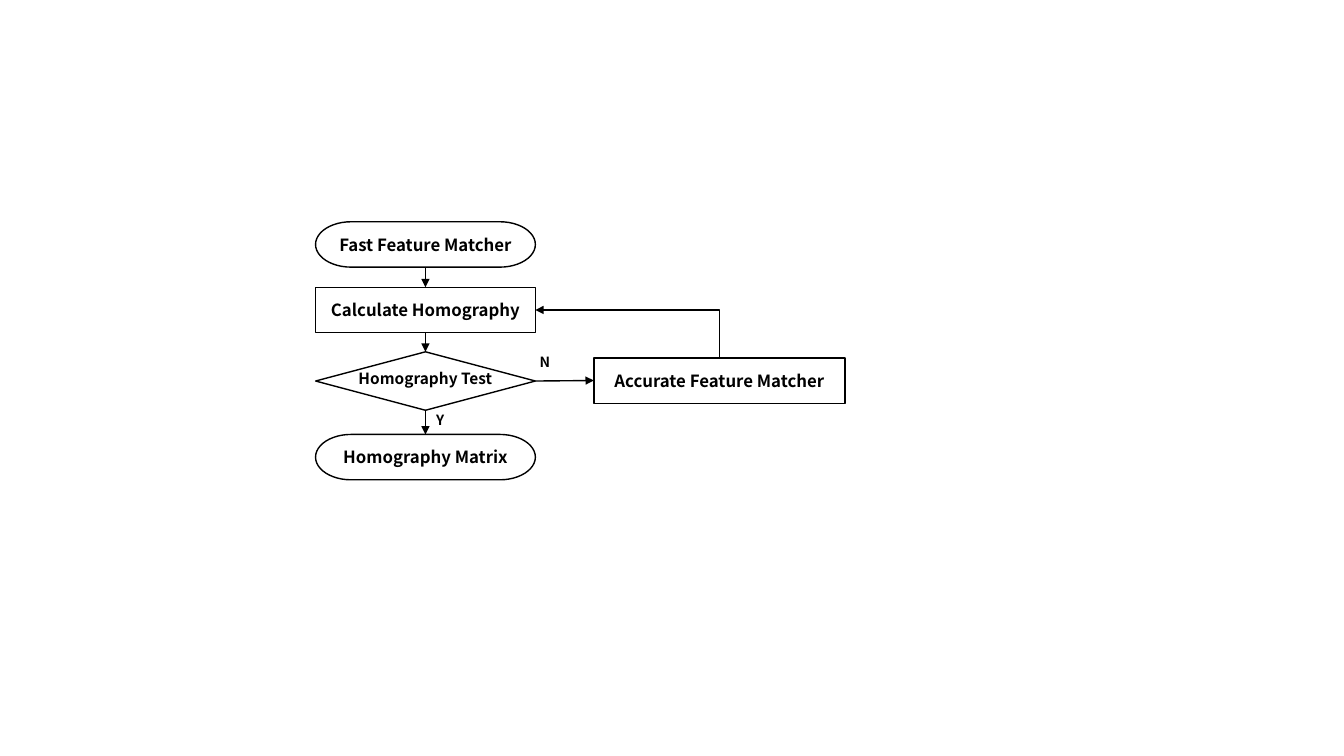
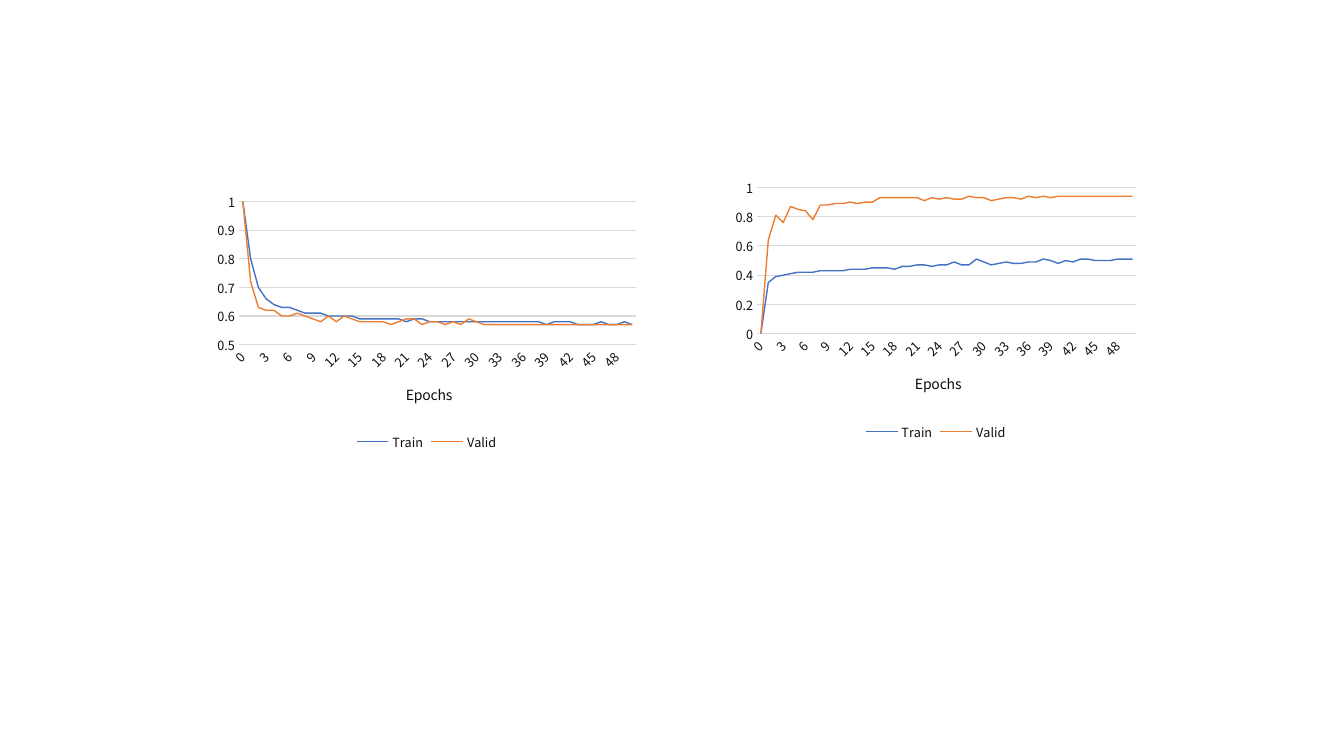
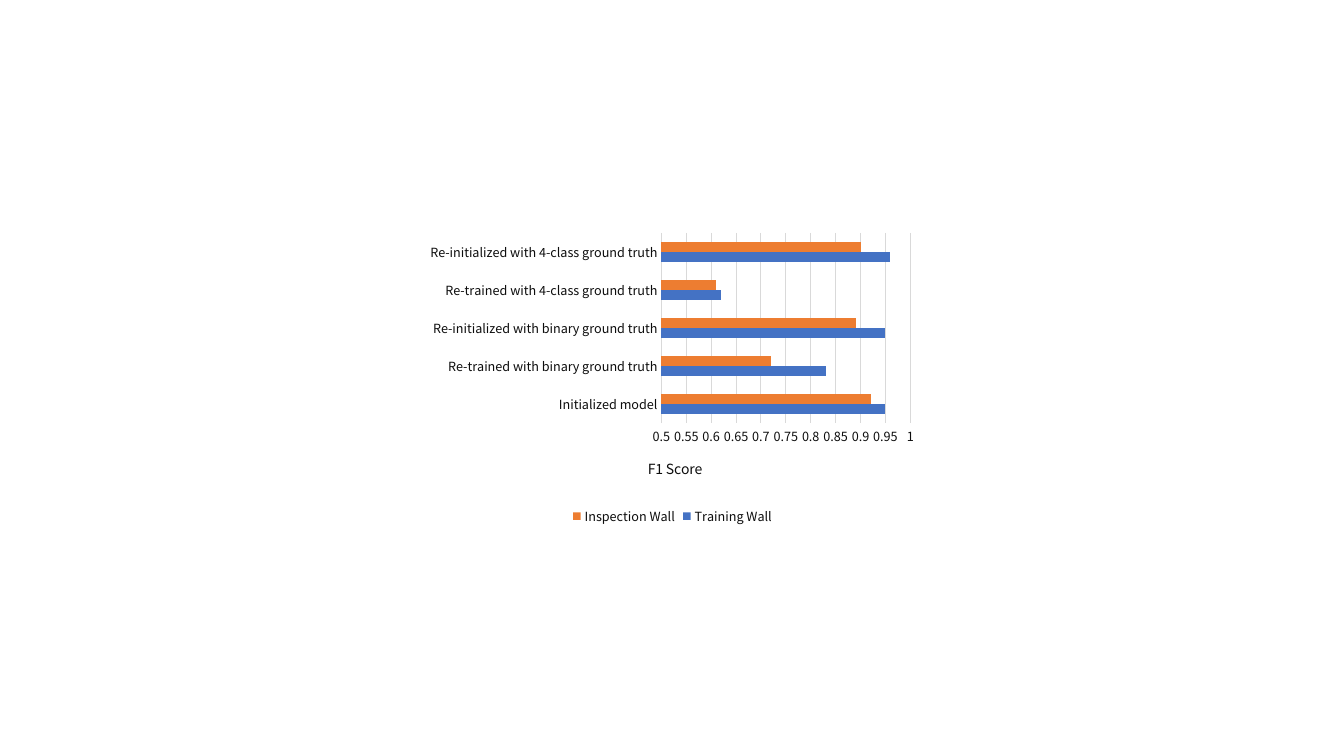
from lxml.etree import SubElement
from pptx import Presentation
from pptx.chart.data import CategoryChartData
from pptx.dml.color import RGBColor
from pptx.enum.chart import XL_CHART_TYPE, XL_LEGEND_POSITION, XL_TICK_MARK
from pptx.enum.shapes import MSO_CONNECTOR, MSO_SHAPE
from pptx.enum.text import MSO_ANCHOR, PP_ALIGN
from pptx.oxml.ns import qn
from pptx.util import Inches, Pt

FONT = "Noto Sans CJK KR"
BLACK, INK, GRID = "000000", "0D0D0D", "D9D9D9"
BLUE, ORANGE = "4472C4", "ED7D31"
TOP, LEFT, BOTTOM, RIGHT = range(4)


def rgb(value):
    """Turn a hex string into a colour."""
    return RGBColor.from_string(value)


class Deck:
    """Style and current slide of the presentation."""

    def __init__(self):
        """Start an empty widescreen presentation."""
        self.prs = Presentation()
        self.prs.slide_width, self.prs.slide_height = Inches(13.33), Inches(7.5)

    def slide(self):
        """Add a blank slide and make it current."""
        self.s = self.prs.slides.add_slide(self.prs.slide_layouts[6])

    def font(self, font, size, color=INK, bold=False):
        """Apply the shared typeface."""
        font.name, font.size, font.bold = FONT, Pt(size), bold
        font.color.rgb = rgb(color)

    def line(self, line, color, width):
        """Set a solid line."""
        line.color.rgb = rgb(color)
        line.width = Pt(width)

    def node(self, kind, text, x, y, w, h, size=12, outlined=True, lift=0):
        """Add an unfilled flowchart shape with centred bold text."""
        sp = self.s.shapes.add_shape(kind, Inches(x), Inches(y), Inches(w), Inches(h))
        sp.shadow.inherit = False
        sp.fill.background()
        if outlined:
            self.line(sp.line, BLACK, 1)
        else:
            sp.line.fill.background()
        tf = sp.text_frame
        tf.word_wrap = False
        tf.vertical_anchor = MSO_ANCHOR.MIDDLE
        tf.margin_top, tf.margin_bottom = 0, Inches(lift)
        p = tf.paragraphs[0]
        p.alignment = PP_ALIGN.CENTER
        r = p.add_run()
        r.text = text
        self.font(r.font, size, BLACK, True)
        return sp

    def arrow_style(self, cn):
        """Give a connector its line and arrowhead."""
        self.line(cn.line, BLACK, 1)
        SubElement(cn.line._get_or_add_ln(), qn("a:tailEnd"), type="triangle")
        SubElement(cn._element.spPr, qn("a:effectLst"))

    def arrow(self, start, end, start_site=BOTTOM, end_site=TOP):
        """Join two shapes with a straight arrow."""
        cn = self.s.shapes.add_connector(MSO_CONNECTOR.STRAIGHT, 0, 0, 0, 0)
        cn.begin_connect(start, start_site)
        cn.end_connect(end, end_site)
        self.arrow_style(cn)

    def elbow(self, start, end):
        """Draw an arrow up from one shape and left into another."""
        x1, y1 = start.left + start.width // 2, start.top
        x2, y2 = end.left + end.width, end.top + end.height // 2
        cx, cy = (x1 + x2) // 2, (y1 + y2) // 2
        rise, run = (y1 - y2) // 2, (x1 - x2) // 2
        cn = self.s.shapes.add_connector(
            MSO_CONNECTOR.ELBOW, cx - rise, cy + run, cx + rise, cy - run)
        spPr = cn._element.spPr
        spPr.find(qn("a:xfrm")).set("rot", "16200000")
        spPr.find(qn("a:prstGeom")).set("prst", "bentConnector2")
        self.arrow_style(cn)

    def layout(self, parent, index, **values):
        """Fix the place of a chart part."""
        old = parent.find(qn("c:layout"))
        if old is not None:
            parent.remove(old)
        layout = SubElement(parent, qn("c:layout"))
        parent.insert(index, layout)
        manual = SubElement(layout, qn("c:manualLayout"))
        for name, value in values.items():
            SubElement(manual, qn("c:" + name), val=str(value))

    def chart(self, kind, box, plot, cats, series, low, step, title, title_at):
        """Add a chart with its plot area and axis title placed in inches."""
        x, y, w, h = box
        data = CategoryChartData()
        data.categories = cats
        for name, vals, _ in series:
            data.add_series(name, vals)
        chart = self.s.shapes.add_chart(kind, *map(Inches, box), data).chart
        self.font(chart.font, 10)
        chart.has_title = False
        chart.has_legend = True
        chart.legend.position = XL_LEGEND_POSITION.BOTTOM
        chart.legend.include_in_layout = False
        self.font(chart.legend.font, 9)
        cat, val = chart.category_axis, chart.value_axis
        for axis in (cat, val):
            axis.major_tick_mark = axis.minor_tick_mark = XL_TICK_MARK.NONE
            self.font(axis.tick_labels.font, 9)
        cat.has_major_gridlines = False
        self.line(cat.format.line, GRID, 0.75)
        val.format.line.fill.background()
        val.minimum_scale, val.maximum_scale, val.major_unit = low, 1, step
        val.tick_labels.number_format = "General"
        val.tick_labels.number_format_is_linked = False
        self.line(val.major_gridlines.format.line, GRID, 0.75)
        bars = kind == XL_CHART_TYPE.BAR_CLUSTERED
        titled = val if bars else cat
        r = titled.axis_title.text_frame.paragraphs[0].add_run()
        r.text = title
        self.font(r.font, 10)
        tx, ty = title_at
        self.layout(titled.axis_title._element, 1, xMode="edge", yMode="edge",
                    x=(tx - x) / w, y=(ty - y) / h)
        px, py, pw, ph = plot
        self.layout(chart._chartSpace.chart.plotArea, 0, layoutTarget="inner",
                    xMode="edge", yMode="edge", x=(px - x) / w, y=(py - y) / h,
                    w=pw / w, h=ph / h)
        area = chart.plots[0]
        area.vary_by_categories = False
        if bars:
            area.gap_width, area.overlap = 182, 0
        else:
            cat._element.txPr.bodyPr.set("rot", "-2700000")
        for item, (_, _, color) in zip(area.series, series):
            if bars:
                item.format.fill.solid()
                item.format.fill.fore_color.rgb = rgb(color)
            else:
                item.smooth = False
                self.line(item.format.line, color, 1)


def flow_slide(d):
    """Build the feature matching flowchart."""
    d.slide()
    x, w, h = 3.13, 2.18, 0.45
    process, terminator = MSO_SHAPE.FLOWCHART_PROCESS, MSO_SHAPE.FLOWCHART_TERMINATOR
    fast = d.node(terminator, "Fast Feature Matcher", x, 2.2, w, h)
    calc = d.node(process, "Calculate Homography", x, 2.85, w, h)
    test = d.node(MSO_SHAPE.FLOWCHART_DECISION, "Homography Test",
                  x, 3.49, w, 0.58, size=11, lift=0.05)
    matrix = d.node(terminator, "Homography Matrix", x, 4.31, w, h)
    accurate = d.node(process, "Accurate Feature Matcher", 5.89, 3.55, 2.49, h)
    for text, left, top in (("N", 5.18, 3.36), ("Y", 4.14, 3.93)):
        d.node(process, text, left, top, 0.45, 0.47, size=10, outlined=False)
    for start, end in ((fast, calc), (calc, test), (test, matrix)):
        d.arrow(start, end)
    d.arrow(test, accurate, RIGHT, LEFT)
    d.elbow(accurate, calc)


def epochs_slide(d):
    """Build the two training curves."""
    d.slide()
    epochs = [str(n) for n in range(51)]
    score_train = [
        0, 0.35, 0.39, 0.4, 0.41, 0.42, 0.42, 0.42, 0.43, 0.43, 0.43, 0.43, 0.44,
        0.44, 0.44, 0.45, 0.45, 0.45, 0.44, 0.46, 0.46, 0.47, 0.47, 0.46, 0.47, 0.47,
        0.49, 0.47, 0.47, 0.51, 0.49, 0.47, 0.48, 0.49, 0.48, 0.48, 0.49, 0.49, 0.51,
        0.5, 0.48, 0.5, 0.49, 0.51, 0.51, 0.5, 0.5, 0.5, 0.51, 0.51, 0.51]
    score_valid = [
        0, 0.64, 0.81, 0.76, 0.87, 0.85, 0.84, 0.78, 0.88, 0.88, 0.89, 0.89, 0.9,
        0.89, 0.9, 0.9, 0.93, 0.93, 0.93, 0.93, 0.93, 0.93, 0.91, 0.93, 0.92, 0.93,
        0.92, 0.92, 0.94, 0.93, 0.93, 0.91, 0.92, 0.93, 0.93, 0.92, 0.94, 0.93, 0.94,
        0.93] + [0.94] * 11
    loss_train = [
        1, 0.8, 0.7, 0.66, 0.64, 0.63, 0.63, 0.62, 0.61, 0.61, 0.61, 0.6, 0.6, 0.6,
        0.6, 0.59, 0.59, 0.59, 0.59, 0.59, 0.59, 0.58, 0.59, 0.59] + [0.58] * 15 + [
        0.57, 0.58, 0.58, 0.58, 0.57, 0.57, 0.57, 0.58, 0.57, 0.57, 0.58, 0.57]
    loss_valid = [
        1, 0.72, 0.63, 0.62, 0.62, 0.6, 0.6, 0.61, 0.6, 0.59, 0.58, 0.6, 0.58, 0.6,
        0.59, 0.58, 0.58, 0.58, 0.58, 0.57, 0.58, 0.59, 0.59, 0.57, 0.58, 0.58, 0.57,
        0.58, 0.57, 0.59, 0.58] + [0.57] * 20
    for box, plot, train, valid, low, step, title_at in (
            ((7.21, 1.72, 4.14, 2.69), (7.51, 1.86, 3.76, 1.45),
             score_train, score_valid, 0, 0.2, (9.05, 3.67)),
            ((2.07, 1.86, 4.32, 2.65), (2.37, 2, 3.94, 1.42),
             loss_train, loss_valid, 0.5, 0.1, (4, 3.78))):
        series = [("Train", train, BLUE), ("Valid", valid, ORANGE)]
        d.chart(XL_CHART_TYPE.LINE, box, plot, epochs, series, low, step,
                "Epochs", title_at)


def score_slide(d):
    """Build the F1 score comparison."""
    d.slide()
    cats = ["Initialized model",
            "Re-trained with binary ground truth",
            "Re-initialized with binary ground truth",
            "Re-trained with 4-class ground truth",
            "Re-initialized with 4-class ground truth"]
    series = [("Training Wall", [0.95, 0.83, 0.95, 0.62, 0.96], BLUE),
              ("Inspection Wall", [0.92, 0.72, 0.89, 0.61, 0.9], ORANGE)]
    d.chart(XL_CHART_TYPE.BAR_CLUSTERED, (4.17, 2.25, 5, 3), (6.56, 2.31, 2.47, 1.89),
            cats, series, 0.5, 0.05, "F1 Score", (6.4, 4.51))


def main():
    """Build and save the deck."""
    d = Deck()
    for build in (flow_slide, epochs_slide, score_slide):
        build(d)
    d.prs.save("out.pptx")


if __name__ == "__main__":
    main()
